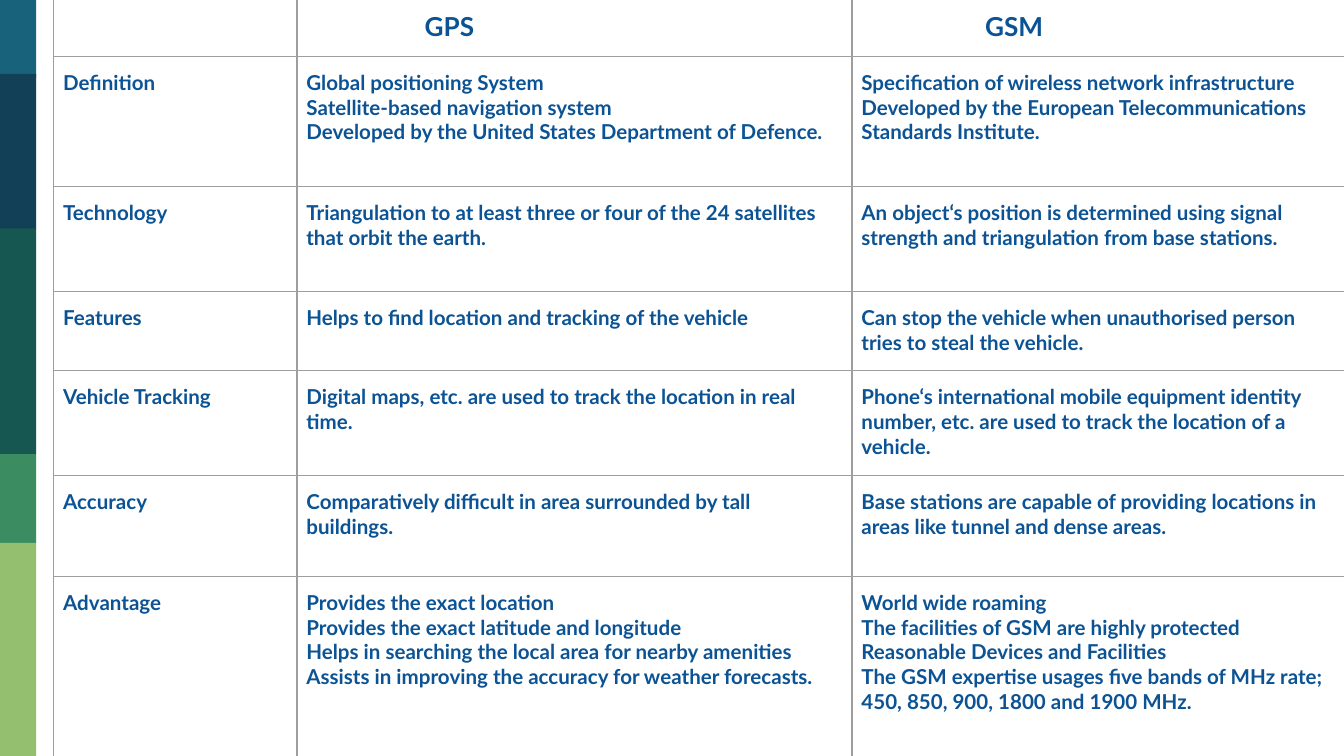
import pptx
import pptx.dml.color
import pptx.enum.shapes
import pptx.oxml
import pptx.oxml.ns
import pptx.util
from pptx.util import Inches

FONT = "Lato"
TEXT_COLOR = "0B5394"
BORDER_COLOR = "9E9E9E"

# top, height, fill
SIDE_BARS = [
    (0, 0.58, "18637B"),
    (0.55, 1.16, "124057"),
    (1.7, 1.68, "165751"),
    (3.38, 0.66, "3B8D61"),
    (4.04, 1.59, "94BF6E"),
]

COLUMN_WIDTHS = [1.81, 4.13, 3.69]
ROW_HEIGHTS = [0.44, 0.97, 0.78, 0.59, 0.78, 0.75, 1.36]
HEADER_INDENTS = [0.1, 0.95, 0.99]

# Each line of a cell is a paragraph
ROWS = [
    ("", "GPS", "GSM"),
    ("Definition",
     "Global positioning System\n"
     "Satellite-based navigation system\n"
     "Developed by the United States Department of Defence.",
     "Specification of wireless network infrastructure\n"
     "Developed by the European Telecommunications Standards Institute."),
    ("Technology",
     "Triangulation to at least three or four of the 24 satellites that orbit the earth.",
     "An object‘s position is determined using signal strength and triangulation "
     "from base stations."),
    ("Features",
     "Helps to find location and tracking of the vehicle",
     "Can stop the vehicle when unauthorised person tries to steal the vehicle."),
    ("Vehicle Tracking",
     "Digital maps, etc. are used to track the location in real time.",
     "Phone‘s international mobile equipment identity number, etc. are used to track "
     "the location of a vehicle."),
    ("Accuracy",
     "Comparatively difficult in area surrounded by tall buildings.",
     "Base stations are capable of providing locations in areas like tunnel and dense areas."),
    ("Advantage",
     "Provides the exact location\n"
     "Provides the exact latitude and longitude\n"
     "Helps in searching the local area for nearby amenities\n"
     "Assists in improving the accuracy for weather forecasts.",
     "World wide roaming\n"
     "The facilities of GSM are highly protected\n"
     "Reasonable Devices and Facilities\n"
     "The GSM expertise usages five bands of MHz rate; 450, 850, 900, 1800 and 1900 MHz."),
]


def rgb(value):
    return pptx.dml.color.RGBColor.from_string(value)


def add_bar(slide, top, height, color):
    sp = slide.shapes.add_shape(pptx.enum.shapes.MSO_SHAPE.RECTANGLE,
                                0, Inches(top), Inches(0.27), Inches(height))
    sp.shadow.inherit = False
    sp.fill.solid()
    sp.fill.fore_color.rgb = rgb(color)
    sp.line.fill.background()


def write_text(tf, text, *, size=11, bold=True, color=TEXT_COLOR, font=FONT):
    for i, line in enumerate(text.split("\n")):
        p = tf.add_paragraph() if i else tf.paragraphs[0]
        r = p.add_run()
        r.text = line
        r.font.name = font
        r.font.size = pptx.util.Pt(size)
        r.font.bold = bold
        r.font.color.rgb = rgb(color)


def set_borders(cell, color=BORDER_COLOR, width=0.75):
    tc_pr = cell._tc.get_or_add_tcPr()
    for side in ("lnL", "lnR", "lnT", "lnB"):
        tc_pr.append(pptx.oxml.parse_xml(
            f'<a:{side} {pptx.oxml.ns.nsdecls("a")} w="{pptx.util.Pt(width)}">'
            f'<a:solidFill><a:srgbClr val="{color}"/></a:solidFill></a:{side}>'))


def format_cell(cell, text, left, right, size):
    set_borders(cell)
    cell.fill.background()
    cell.margin_left, cell.margin_right = Inches(left), Inches(right)
    # An empty cell must not stretch its row
    cell.margin_top = cell.margin_bottom = Inches(0.1 if text else 0)
    if text:
        write_text(cell.text_frame, text, size=size)


def add_comparison_table(slide):
    table = slide.shapes.add_table(
        len(ROWS), len(COLUMN_WIDTHS), Inches(0.4), Inches(-0.02),
        Inches(sum(COLUMN_WIDTHS)), Inches(sum(ROW_HEIGHTS))).table
    table.first_row = table.horz_banding = False
    for column, width in zip(table.columns, COLUMN_WIDTHS):
        column.width = Inches(width)
    for row, height in zip(table.rows, ROW_HEIGHTS):
        row.height = Inches(height)
    for i, texts in enumerate(ROWS):
        for j, text in enumerate(texts):
            if i == 0:
                format_cell(table.cell(i, j), text, HEADER_INDENTS[j], 0.1, 14)
            else:
                format_cell(table.cell(i, j), text, 0.07, 0.07, 11)


def main():
    prs = pptx.Presentation()
    prs.slide_width, prs.slide_height = Inches(10), Inches(10 * 9 / 16)
    slide = prs.slides.add_slide(prs.slide_layouts[6])
    for top, height, color in SIDE_BARS:
        add_bar(slide, top, height, color)
    add_comparison_table(slide)
    prs.save("out.pptx")


if __name__ == "__main__":
    main()
